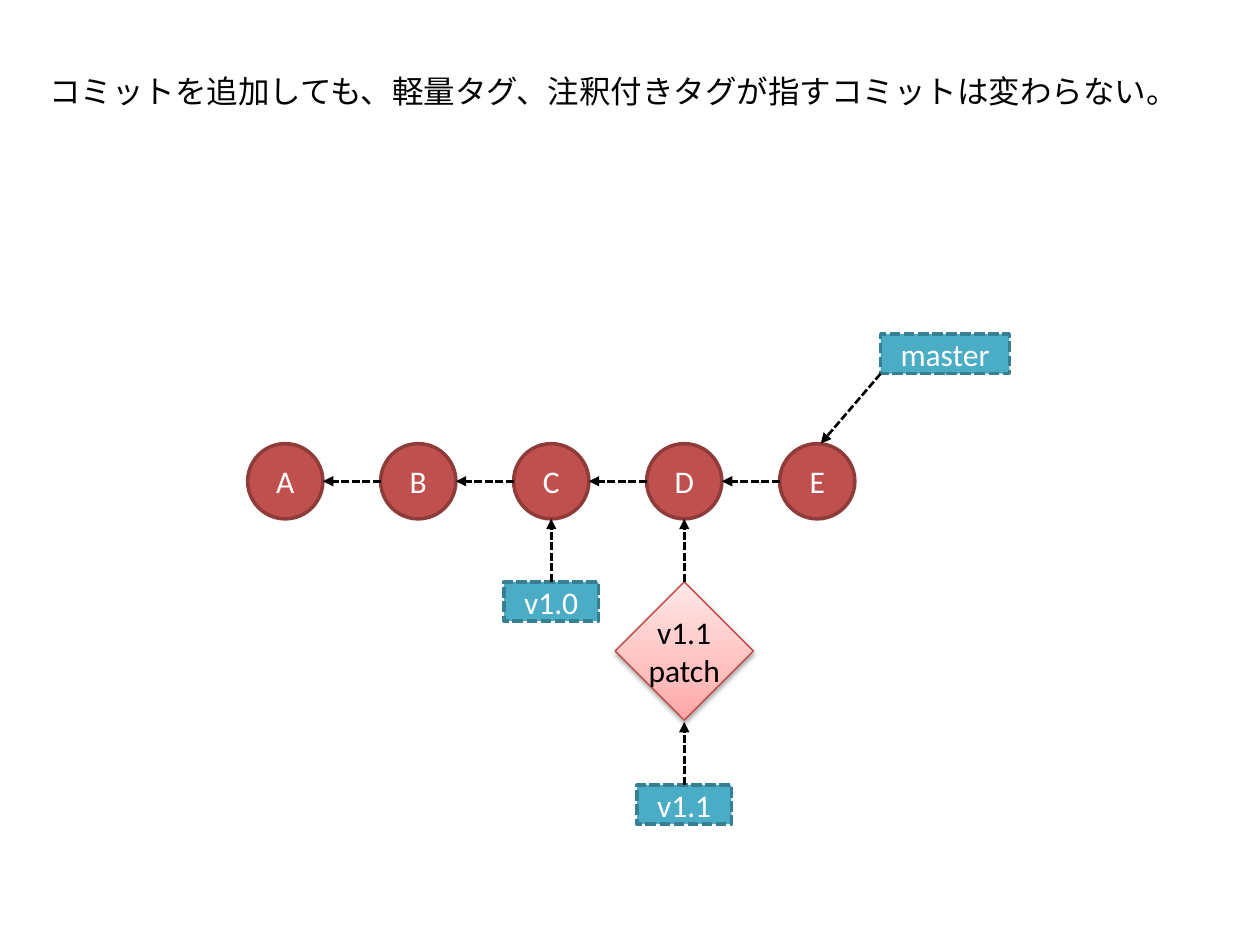
from copy import deepcopy
from dataclasses import dataclass

from lxml.etree import SubElement
from pptx import Presentation
from pptx.dml.color import RGBColor
from pptx.enum.dml import MSO_LINE_DASH_STYLE as Dash
from pptx.enum.shapes import MSO_CONNECTOR as Connector, MSO_SHAPE as Shape
from pptx.enum.text import MSO_ANCHOR as Anchor, MSO_AUTO_SIZE as AutoSize, PP_ALIGN as Align
from pptx.oxml.ns import qn
from pptx.util import Pt

COLORS = {
    "black": "000000", "white": "FFFFFF",
    "commit": "C0504D", "commit_edge": "8E3B39",
    "ref": "4BACC6", "ref_edge": "377F92", "tag_edge": "BF4C48",
    "tag_bottom": "FFA6A5", "tag_middle": "FFC0BF", "tag_top": "FFE7E7",
}
TAG_GRADIENT = [(0, "tag_bottom"), (0.35, "tag_middle"), (1, "tag_top")]

# Commit row, in points
FIRST_X, PITCH, ROW_Y, DIAMETER = 163, 76, 275, 43
RADIUS = DIAMETER / 2
REF_HEIGHT, REF_WIDTH, TAG_SIZE = 22.5, 54, 79
BELOW_Y, LOWEST_Y = 332.5, 448.5


@dataclass
class Node:
    """A labelled shape, placed by the middle of its top edge."""
    text: str
    center_x: float
    top: float
    width: float
    height: float


@dataclass
class Arrow:
    x1: float
    y1: float
    x2: float
    y2: float


def rgb(name: str) -> RGBColor:
    return RGBColor.from_string(COLORS[name])


def format_text(frame, color: str, align: Align) -> None:
    for para in frame.paragraphs:
        para.alignment = align
        for span in para.runs:
            span.font.name, span.font.size = "Calibri", Pt(18)
            span.font.color.rgb = rgb(color)


def set_line(line, color: str, width: float) -> None:
    line.color.rgb, line.width = rgb(color), Pt(width)


def draw_node(page, kind: Shape, node: Node, edge: str, edge_width: float, text_color: str):
    box = page.shapes.add_shape(kind, Pt(node.center_x - node.width / 2), Pt(node.top),
                                Pt(node.width), Pt(node.height))
    box.shadow.inherit = False
    set_line(box.line, edge, edge_width)
    box.text_frame.text = node.text
    box.text_frame.vertical_anchor = Anchor.MIDDLE
    format_text(box.text_frame, text_color, Align.CENTER)
    return box


def draw_commit(page, node: Node) -> None:
    box = draw_node(page, Shape.OVAL, node, "commit_edge", 2, "white")
    box.fill.solid()
    box.fill.fore_color.rgb = rgb("commit")


def draw_ref(page, node: Node) -> None:
    box = draw_node(page, Shape.RECTANGLE, node, "ref_edge", 2, "white")
    box.fill.solid()
    box.fill.fore_color.rgb = rgb("ref")
    box.line.dash_style = Dash.SQUARE_DOT


def draw_tag(page, node: Node) -> None:
    box = draw_node(page, Shape.DIAMOND, node, "tag_edge", 0.75, "black")
    frame = box.text_frame
    frame.word_wrap = False
    frame.margin_left = frame.margin_right = frame.margin_top = frame.margin_bottom = 0

    # Three-stop gradient running upwards
    box.fill.gradient()
    box.fill.gradient_angle = 90
    properties = box.element.spPr
    stops = properties.find(qn("a:gradFill")).find(qn("a:gsLst"))
    stops.append(deepcopy(stops[0]))
    for stop, (position, color) in zip(box.fill.gradient_stops, TAG_GRADIENT):
        stop.position, stop.color.rgb = position, rgb(color)

    # Soft shadow straight below
    shadow = SubElement(properties.find(qn("a:effectLst")), qn("a:outerShdw"),
                        blurRad=str(Pt(3.1)), dist=str(Pt(1.6)), dir="5400000", rotWithShape="0")
    color = SubElement(shadow, qn("a:srgbClr"), val=COLORS["black"])
    SubElement(color, qn("a:alpha"), val="38000")


def draw_arrow(page, arrow: Arrow) -> None:
    link = page.shapes.add_connector(Connector.STRAIGHT, Pt(arrow.x1), Pt(arrow.y1),
                                     Pt(arrow.x2), Pt(arrow.y2))
    set_line(link.line, "black", 1.5)
    link.line.dash_style = Dash.SQUARE_DOT
    properties = link.element.spPr
    SubElement(properties.find(qn("a:ln")), qn("a:tailEnd"), type="triangle")
    SubElement(properties, qn("a:effectLst"))


def draw_title(page, text: str) -> None:
    title = page.shapes.title
    title.left, title.top, title.width, title.height = Pt(21), Pt(37.5), Pt(679), Pt(29)
    frame = title.text_frame
    frame.text = text
    frame.word_wrap, frame.auto_size = True, AutoSize.NONE
    frame.vertical_anchor = Anchor.TOP
    format_text(frame, "black", Align.LEFT)


def main() -> None:
    deck = Presentation()
    deck.slide_width, deck.slide_height = Pt(720), Pt(540)
    page = deck.slides.add_slide(deck.slide_layouts[5])
    draw_title(page, "コミットを追加しても、軽量タグ、注釈付きタグが指すコミットは変わらない。")

    # Commits, each pointing to its parent
    centers = {name: FIRST_X + i * PITCH for i, name in enumerate("ABCDE")}
    for name, x in centers.items():
        draw_commit(page, Node(name, x, ROW_Y - RADIUS, DIAMETER, DIAMETER))
    for x in list(centers.values())[1:]:
        draw_arrow(page, Arrow(x - RADIUS, ROW_Y, x - PITCH + RADIUS, ROW_Y))

    # Branch, lightweight tag and annotated tag
    master = Node("master", 540, 191, 73.5, REF_HEIGHT)
    draw_ref(page, master)
    draw_ref(page, Node("v1.0", centers["C"], BELOW_Y, REF_WIDTH, REF_HEIGHT))
    draw_ref(page, Node("v1.1", centers["D"], LOWEST_Y, REF_WIDTH, REF_HEIGHT))
    draw_tag(page, Node("v1.1\npatch", centers["D"], BELOW_Y, TAG_SIZE, TAG_SIZE))

    # Pointers from the labels
    draw_arrow(page, Arrow(master.center_x - master.width / 2, master.top + master.height,
                           centers["E"] + 2, ROW_Y - RADIUS))
    for name in "CD":
        draw_arrow(page, Arrow(centers[name], BELOW_Y, centers[name], ROW_Y + RADIUS))
    draw_arrow(page, Arrow(centers["D"], LOWEST_Y, centers["D"], BELOW_Y + TAG_SIZE + 1))

    deck.save("out.pptx")


if __name__ == "__main__":
    main()
